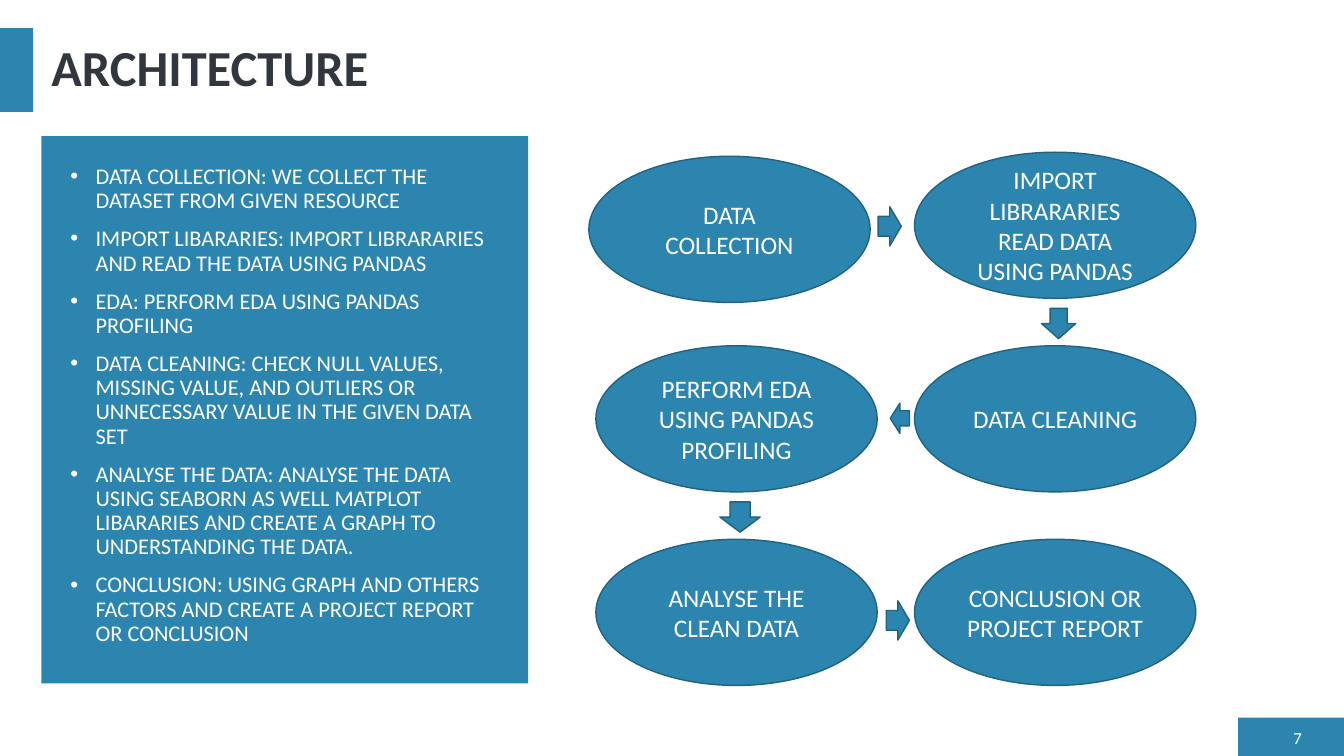
from lxml import etree
from pptx import Presentation
from pptx import util as u
from pptx.dml.color import RGBColor
from pptx.enum import shapes, text
from pptx.oxml.ns import qn

STEPS = [
    "DATA COLLECTION: WE COLLECT THE DATASET FROM GIVEN RESOURCE",
    "IMPORT LIBARARIES: IMPORT LIBRARARIES AND READ THE DATA USING PANDAS",
    "EDA: PERFORM EDA USING PANDAS PROFILING",
    "DATA CLEANING: CHECK NULL VALUES, MISSING VALUE, AND OUTLIERS OR "
    "UNNECESSARY VALUE IN THE GIVEN DATA SET",
    "ANALYSE THE DATA: ANALYSE THE DATA USING SEABORN AS WELL MATPLOT "
    "LIBARARIES AND CREATE A GRAPH TO UNDERSTANDING THE DATA.",
    "CONCLUSION: USING GRAPH AND OTHERS FACTORS AND CREATE A PROJECT REPORT "
    "OR CONCLUSION",
]

LEFT, RIGHT = 5.91, 9.07
ROWS = [1.51, 3.43, 5.35]
NODE_SIZE = (2.79, 1.45)
NODES = [
    (5.84, 1.55, "DATA COLLECTION"),
    (RIGHT, ROWS[0], "IMPORT LIBRARARIES READ DATA USING PANDAS"),
    (LEFT, ROWS[1], "PERFORM EDA USING PANDAS PROFILING"),
    (RIGHT, ROWS[1], "DATA CLEANING"),
    (LEFT, ROWS[2], "ANALYSE THE CLEAN DATA"),
    (RIGHT, ROWS[2], "CONCLUSION OR PROJECT REPORT"),
]
ARROWS = [
    ("RIGHT", 8.71, 2.05, 0.23, 0.39),
    ("DOWN", 10.33, 3.06, 0.34, 0.3),
    ("LEFT", 8.83, 4, 0.19, 0.3),
    ("DOWN", 7.14, 4.98, 0.4, 0.3),
    ("RIGHT", 8.79, 5.96, 0.23, 0.39),
]


def color(hex_code):
    return RGBColor.from_string(hex_code)


def inches(*lengths):
    return [u.Inches(length) for length in lengths]


class SlideBuilder:
    font = "Calibri"
    accent = "2C85AE"
    outline = "216281"
    dark = "32363F"
    light = "FFFFFF"

    def __init__(self, presentation):
        self.slide = presentation.slides.add_slide(presentation.slide_layouts[5])

    def set_text(self, shape, *paragraphs, size=18, hex_code=light, bold=False,
                 align="LEFT", anchor="MIDDLE", line_spacing=None, space_before=0,
                 bulleted=False):
        """Fill the shape with one formatted paragraph per string."""
        frame = shape.text_frame
        frame.word_wrap = True
        frame.auto_size = text.MSO_AUTO_SIZE.NONE
        frame.vertical_anchor = text.MSO_ANCHOR[anchor]
        for index, wording in enumerate(paragraphs):
            paragraph = frame.add_paragraph() if index else frame.paragraphs[0]
            paragraph.alignment = text.PP_ALIGN[align]
            paragraph.line_spacing = line_spacing
            paragraph.space_before = u.Pt(space_before)
            run = paragraph.add_run()
            run.text = wording
            run.font.name = self.font
            run.font.size = u.Pt(size)
            run.font.bold = bold
            run.font.color.rgb = color(hex_code)
            if bulleted:
                self.bullet(paragraph)

    def bullet(self, paragraph):
        """Give the paragraph a round bullet with a hanging indent."""
        properties = paragraph._p.get_or_add_pPr()
        properties.set("marL", str(u.Inches(0.25)))
        properties.set("indent", str(u.Inches(-0.25)))
        etree.SubElement(properties, qn("a:buFont")).set("typeface", "Arial")
        etree.SubElement(properties, qn("a:buChar")).set("char", "•")

    def title(self, wording, *box):
        title = self.slide.shapes.title
        title.left, title.top, title.width, title.height = inches(*box)
        self.set_text(title, wording, size=36, hex_code=self.dark, bold=True,
                      line_spacing=0.9)

    def text_box(self, paragraphs, *box, **style):
        self.set_text(self.slide.shapes.add_textbox(*inches(*box)), *paragraphs, **style)

    def shape(self, kind, *box, outlined=True):
        shape = self.slide.shapes.add_shape(shapes.MSO_SHAPE[kind], *inches(*box))
        shape.shadow.inherit = False
        shape.fill.solid()
        shape.fill.fore_color.rgb = color(self.accent)
        if outlined:
            shape.line.color.rgb = color(self.outline)
            shape.line.width = u.Pt(1)
        else:
            shape.line.fill.background()
        return shape

    def panel(self, *box):
        self.shape("RECTANGLE", *box, outlined=False)

    def node(self, wording, left, top):
        self.set_text(self.shape("OVAL", left, top, *NODE_SIZE), wording, align="CENTER")

    def arrow(self, direction, *box):
        self.shape(f"{direction}_ARROW", *box)


def main():
    presentation = Presentation()
    presentation.slide_width, presentation.slide_height = inches(13.33, 7.5)
    builder = SlideBuilder(presentation)

    builder.panel(12.28, 7.12, 1.05, 0.38)
    builder.panel(0, 0.28, 0.33, 0.83)
    builder.panel(0.41, 1.35, 4.83, 5.43)
    builder.title("ARCHITECTURE", 0.41, 0.28, 12.6, 0.83)
    builder.text_box(["7"], 12.6, 7.2, 0.41, 0.23, size=12, align="RIGHT")
    builder.text_box(STEPS, 0.6, 1.59, 4.45, 4.98, size=16, anchor="TOP",
                     line_spacing=0.9, space_before=10, bulleted=True)

    for left, top, wording in NODES:
        builder.node(wording, left, top)
    for direction, *box in ARROWS:
        builder.arrow(direction, *box)

    presentation.save("out.pptx")


if __name__ == "__main__":
    main()
